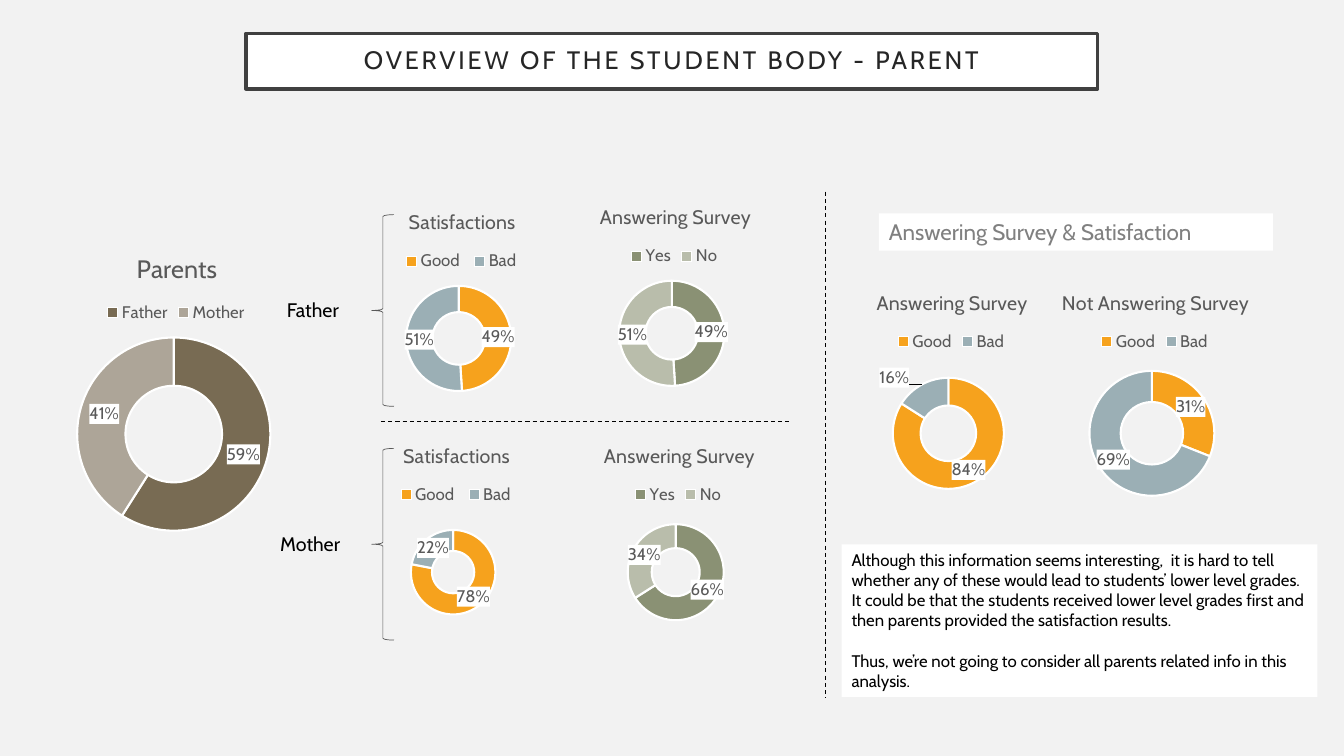
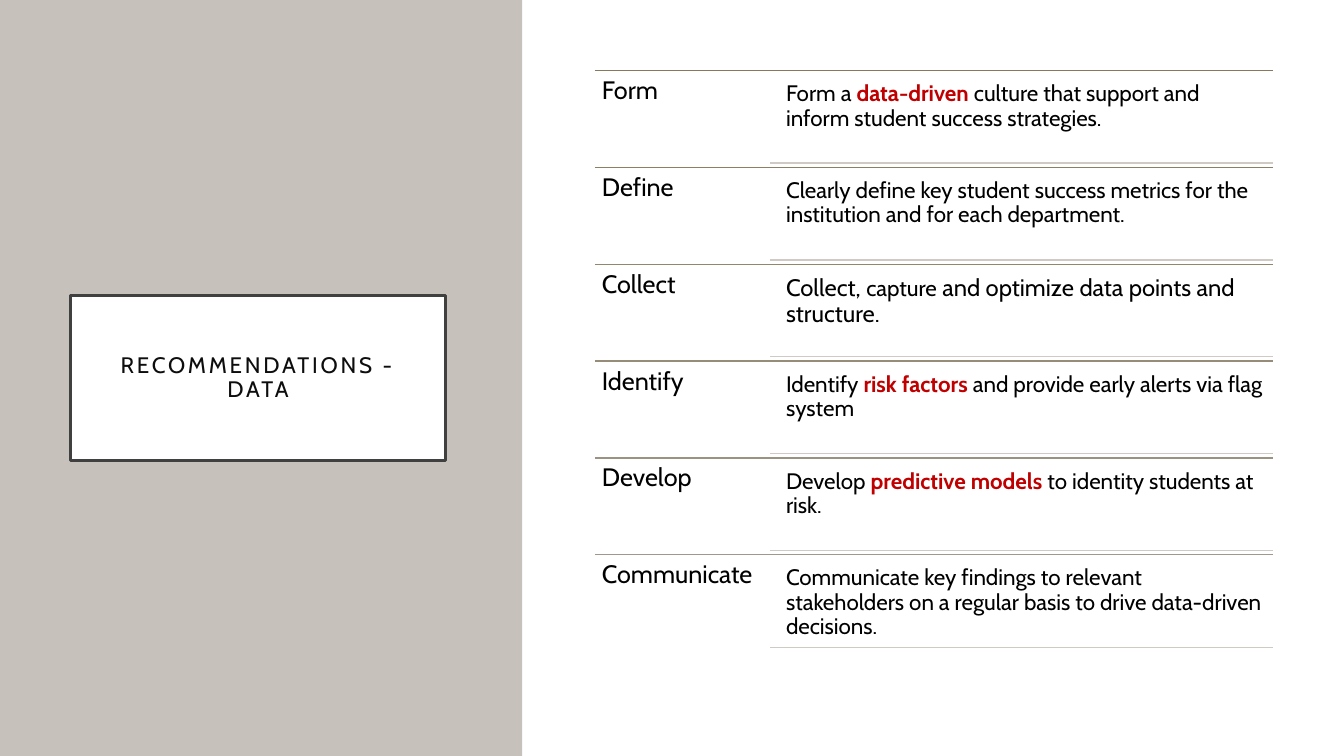
"""Build two slides: a doughnut overview of parents and a list of data advice."""
import copy

import pptx
import pptx.chart.data
import pptx.dml.color
import pptx.enum.chart
import pptx.enum.dml
import pptx.enum.shapes
import pptx.enum.text
import pptx.oxml
import pptx.oxml.ns
import pptx.util

Cm = pptx.util.Cm
Pt = pptx.util.Pt
qn = pptx.oxml.ns.qn
FONT = "Cabin"
COLORS = {
    "white": "FFFFFF", "black": "000000", "pale": "F2F2F2", "band": "C6C1BA",
    "frame": "404040", "ink": "262626", "dark": "0D0D0D", "gray": "595959",
    "soft": "808080", "red": "C00000", "thin": "CFCBC4",
    "gold": "F6A21D", "blue": "9BAFB5", "brown": "786B53", "tan": "ADA598",
    "olive": "8A9174", "sage": "B9BDAB",
    "Form": "87795D", "Define": "8D7F65", "Collect": "93866E",
    "Identify": "978C78", "Develop": "9B9282", "Communicate": "A0988C",
}
RGB = {name: pptx.dml.color.RGBColor.from_string(code) for name, code in COLORS.items()}
ACCENT = {"color": "red", "bold": True}


def write(shape, text, size=12, color="black", fill=None, inset=None, align=None,
          anchor=None, space=None, gap=0, track=None, mark=ACCENT):
    """Fill a shape with text; pieces between asterisks take the mark format."""
    frame = shape.text_frame
    frame.word_wrap = True
    frame.auto_size = pptx.enum.text.MSO_AUTO_SIZE.NONE
    if fill:
        shape.fill.solid()
        shape.fill.fore_color.rgb = RGB[fill]
    if anchor is not None:
        frame.vertical_anchor = anchor
    if inset is not None:
        frame.margin_left = frame.margin_right = Cm(inset)
        frame.margin_top = frame.margin_bottom = Cm(inset)
    for row, words in enumerate(text.split("\n")):
        para = frame.add_paragraph() if row else frame.paragraphs[0]
        para.alignment = align
        para.line_spacing = space
        para.space_before = Pt(gap if row else 0)
        for place, piece in enumerate(words.split("*")):
            look = {"size": size, "color": color, "bold": False}
            if place % 2:
                look.update(mark)
            run = para.add_run()
            run.text = piece
            run.font.name = FONT
            run.font.size = Pt(look["size"])
            run.font.bold = look["bold"]
            run.font.color.rgb = RGB[look["color"]]
            if track:
                run.font._element.set("spc", str(track * 100))


def rule(slide, left, top, right, base, color, width, dash=None):
    """Draw a straight line without shadow."""
    line = slide.shapes.add_connector(
        pptx.enum.shapes.MSO_CONNECTOR.STRAIGHT, Cm(left), Cm(top), Cm(right), Cm(base))
    line.line.color.rgb = RGB[color]
    line.line.width = Pt(width)
    line.line.dash_style = dash
    line._element.spPr.append(pptx.oxml.parse_xml(
        f'<a:effectLst {pptx.oxml.ns.nsdecls("a")}/>'))


deck = pptx.Presentation()
deck.slide_width, deck.slide_height = Cm(33.87), Cm(19.05)

heads = [
    ("OVERVIEW OF THE STUDENT BODY - PARENT", "pale", (6.2, 0.84, 21.46, 1.4), 18, "ink"),
    ("RECOMMENDATIONS - DATA", "white", (1.78, 7.44, 9.45, 4.17), 16, "dark"),
]
for text, back, area, size, color in heads:
    slide = deck.slides.add_slide(deck.slide_layouts[5])
    slide.background.fill.solid()
    slide.background.fill.fore_color.rgb = RGB[back]
    title = slide.shapes.title
    title.left, title.top, title.width, title.height = map(Cm, area)
    title.line.color.rgb = RGB["frame"]
    title.line.width = Pt(2.5)
    write(title, text, size=size, color=color, fill="white", inset=0.5, space=0.9, track=2,
          align=pptx.enum.text.PP_ALIGN.CENTER, anchor=pptx.enum.text.MSO_ANCHOR.MIDDLE)
parents, advice = deck.slides

kinds = {
    "who": (("Father", "Mother"), ("brown", "tan"), 3.6),
    "mood": (("Good ", "Bad"), ("gold", "blue"), 2.9),
    "view": (("Good", "Bad"), ("gold", "blue"), 2.8),
    "reply": (("Yes", "No"), ("olive", "sage"), 2.3),
}
spans = {"Parents": 2.1, "Satisfactions": 2.7, "Answering Survey": 3.8,
         "Not Answering Survey": 4.72}
rings = [
    ("Answering Survey", "view", (84, 16), (20.6, 6.86, 6.6, 6.05), 4.06, 2.8),
    ("Not Answering Survey", "view", (31, 69), (25.73, 6.86, 6.6, 6.05), 4.06, 3.15),
    ("Parents", "who", (59, 41), (1.27, 5.77, 6.22, 7.95), 5.17, 4.87),
    ("Satisfactions", "mood", (49, 51), (8.46, 4.83, 6.2, 5.38), 3.7, 2.65),
    ("Satisfactions", "mood", (78, 22), (8.46, 10.72, 5.92, 5.38), 3.7, 2.13),
    ("Answering Survey", "reply", (49, 51), (13.97, 4.7, 5.92, 5.38), 3.7, 2.65),
    ("Answering Survey", "reply", (66, 34), (13.97, 10.72, 6.12, 5.38), 3.7, 2.42),
]
space = pptx.oxml.ns.nsdecls("c", "a")
for text, kind, values, area, middle, ring in rings:
    names, tints, span = kinds[kind]
    wide, high = area[2:]
    large = kind == "who"
    data = pptx.chart.data.CategoryChartData()
    data.categories = names
    data.add_series("Series 1", values)
    chart = parents.shapes.add_chart(
        pptx.enum.chart.XL_CHART_TYPE.DOUGHNUT, *map(Cm, area), data).chart
    chart.font.name = FONT
    chart.font.size = Pt(10)
    chart._chartSpace.find(qn("c:txPr")).addprevious(pptx.oxml.parse_xml(
        f"<c:spPr {space}><a:noFill/><a:ln><a:noFill/></a:ln></c:spPr>"))

    chart.has_title = True
    chart.chart_title.text_frame.text = text
    chart.has_legend = True
    chart.legend.position = pptx.enum.chart.XL_LEGEND_POSITION.TOP
    chart.legend.include_in_layout = False
    plot = chart.plots[0]
    plot.vary_by_categories = True
    series = plot.series[0]
    labels = series.data_labels
    labels.show_percentage = True
    labels.show_value = False
    labels.number_format = "0%"
    labels.number_format_is_linked = False
    head = chart.chart_title.text_frame.paragraphs[0].runs[0].font
    for font, size in ((head, 18 if large else 14), (chart.legend.font, 12), (labels.font, 12)):
        font.name = FONT
        font.size = Pt(size)
        font.bold = False
        font.color.rgb = RGB["gray"]
    for spot, tint in enumerate(tints):
        form = series.points[spot].format
        form.fill.solid()
        form.fill.fore_color.rgb = RGB[tint]
        form.line.color.rgb = RGB["white"]
        form.line.width = Pt(1.5)

    tags = labels._element
    tags.find(qn("c:txPr")).addprevious(pptx.oxml.parse_xml(
        f'<c:spPr {space}><a:solidFill><a:srgbClr val="{COLORS["white"]}"/>'
        "</a:solidFill></c:spPr>"))
    if values == (84, 16):
        tag = pptx.oxml.parse_xml(
            f'<c:dLbl {space}><c:idx val="1"/><c:layout><c:manualLayout>'
            '<c:x val="-0.13"/><c:y val="-0.08"/></c:manualLayout></c:layout></c:dLbl>')
        for part in tags:
            if part.tag != qn("c:showLeaderLines"):
                tag.append(copy.deepcopy(part))
        tags.insert(0, tag)

    places = [
        (chart.chart_title._element, 1, spans[text], 0.45 if large else 0.33, None),
        (chart.legend._element, 1, span, 1.75 if large else 1.4, None),
        (chart._chartSpace.chart.plotArea, 0, ring, middle - ring / 2, ring),
    ]
    for part, slot, width, top, height in places:
        for old in part.findall(qn("c:layout")):
            part.remove(old)
        inner = '<c:layoutTarget val="inner"/>' if height else ""
        extent = f'<c:w val="{width / wide}"/><c:h val="{height / high}"/>' if height else ""
        part.insert(slot, pptx.oxml.parse_xml(
            f'<c:layout {space}><c:manualLayout>{inner}<c:xMode val="edge"/>'
            f'<c:yMode val="edge"/><c:x val="{(wide - width) / 2 / wide}"/>'
            f'<c:y val="{top / high}"/>{extent}</c:manualLayout></c:layout>'))

note = (
    "Although this information seems interesting,  it is hard to tell whether any of these "
    "would lead to students’ lower level grades. It could be that the students received lower "
    "level grades first and then parents provided the satisfaction results.\n"
    "Thus, we’re not going to consider all parents related info in this analysis."
)
boxes = [
    ("Answering Survey & Satisfaction", (22.15, 5.38, 9.93, 0.94), 16, "soft", "white"),
    ("Father", (6.98, 7.39, 2.26, 0.86), 14, "black", None),
    ("Mother", (6.81, 13.28, 2.62, 0.86), 14, "black", None),
    (note, (21.21, 13.72, 11.99, 3.84), 12, "black", "white"),
]
for text, area, size, color, fill in boxes:
    box = parents.shapes.add_textbox(*map(Cm, area))
    write(box, text, size=size, color=color, fill=fill, gap=14.5)
for top in (5.41, 11.3):
    brace = parents.shapes.add_shape(
        pptx.enum.shapes.MSO_SHAPE.LEFT_BRACE, Cm(9.37), Cm(top), Cm(0.56), Cm(4.83))
    brace.shadow.inherit = False
    brace.fill.background()
    brace.line.color.rgb = RGB["gray"]
    brace.line.width = Pt(0.5)
dash = pptx.enum.dml.MSO_LINE.DASH
rule(parents, 9.6, 10.62, 19.89, 10.62, "black", 0.75, dash)
rule(parents, 20.8, 4.83, 20.8, 17.58, "black", 0.75, dash)

band = advice.shapes.add_shape(
    pptx.enum.shapes.MSO_SHAPE.RECTANGLE, 0, 0, Cm(13.16), deck.slide_height)
band.shadow.inherit = False
band.fill.solid()
band.fill.fore_color.rgb = RGB["band"]
band.line.fill.background()
advice.shapes.title._element.addprevious(band._element)

steps = [
    ("Form", "Form a *data-driven* culture that support and inform student success strategies."),
    ("Define", "Clearly define key student success metrics for the institution and for each "
               "department."),
    ("Collect", "Collect, *capture* and optimize data points and structure."),
    ("Identify", "Identify *risk factors *and provide early alerts via flag system"),
    ("Develop", "Develop *predictive models *to identity students at risk."),
    ("Communicate", "Communicate key findings to relevant stakeholders on a regular basis to "
                    "drive data-driven decisions."),
]
for row, (name, text) in enumerate(steps):
    top = 1.78 + 2.44 * row
    rule(advice, 14.99, top, 32.08, top, name, 1)
    rule(advice, 19.41, top + 2.33, 32.08, top + 2.33, "thin", 1)
    label = advice.shapes.add_textbox(Cm(14.99), Cm(top), Cm(4.42), Cm(2.44))
    write(label, name, size=18, inset=0.18, space=0.9)
    body = advice.shapes.add_textbox(Cm(19.63), Cm(top + 0.12), Cm(12.42), Cm(2.21))
    mixed = name == "Collect"
    write(body, text, size=17 if mixed else 16, inset=0.18, space=0.9,
          mark={"size": 16} if mixed else ACCENT)

deck.save("out.pptx")
